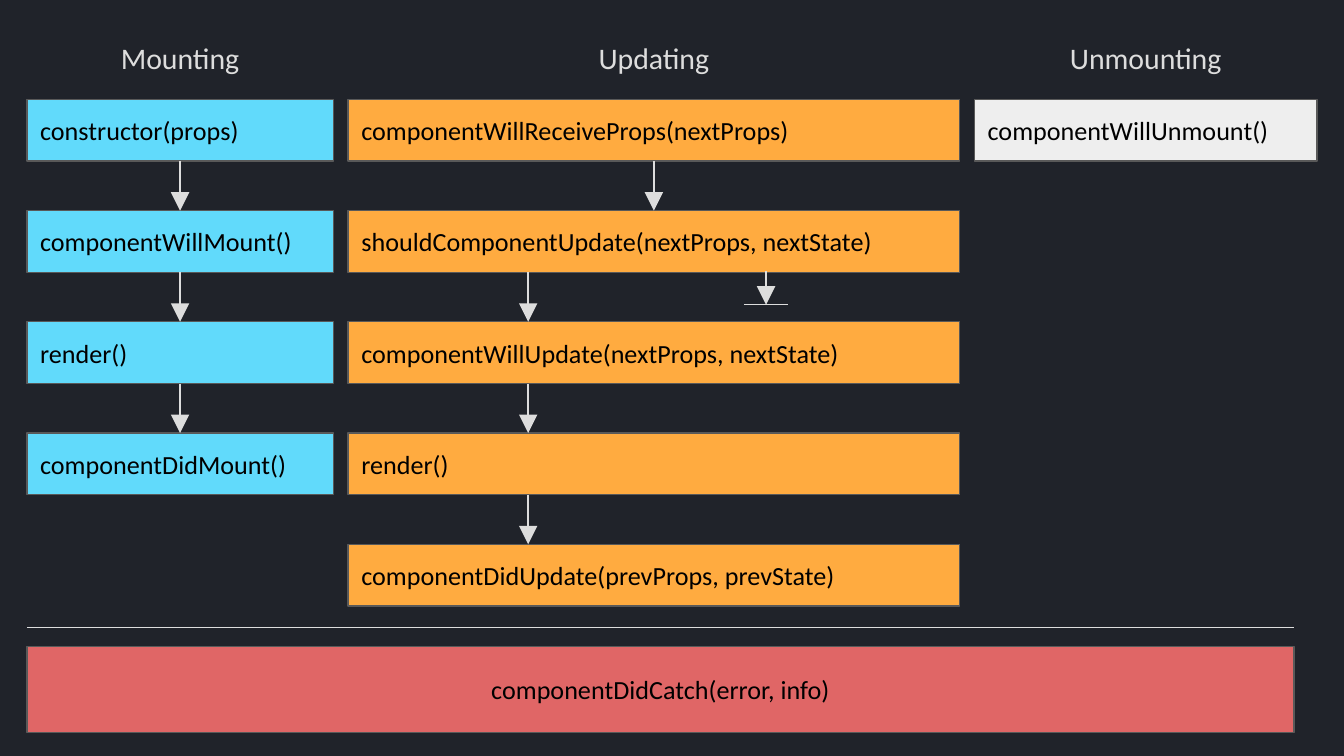
from lxml import etree
from pptx import Presentation, util as u
from pptx.dml.color import RGBColor
from pptx.enum import shapes, text
from pptx.oxml.ns import qn

WIDTH = 10
HEIGHT = WIDTH * 9 / 16
MARGIN, GAP = 0.2, 0.11
HEADING_TOP, HEADING_HEIGHT = 0.11, 0.64
FIRST_ROW, LAST_ROW, BOX_HEIGHT = 0.74, 4.05, 0.46
ROW_PITCH = (LAST_ROW - FIRST_ROW) / 4
FOOTER_WIDTH = 9.43
UPDATING_WIDTH = 4.55
BRANCH = 1.34 / UPDATING_WIDTH
BACKGROUND, PALE, BORDER, BLACK = "20232A", "DDDDDD", "595959", "000000"

# heading, width, fill, methods, arrow positions as shares of the width
PHASES = [
    ("Mounting", 2.28, "61DAFB",
     ["constructor(props)", "componentWillMount()", "render()",
      "componentDidMount()"],
     [0.5, 0.5, 0.5]),
    ("Updating", UPDATING_WIDTH, "FFAB40",
     ["componentWillReceiveProps(nextProps)",
      "shouldComponentUpdate(nextProps, nextState)",
      "componentWillUpdate(nextProps, nextState)", "render()",
      "componentDidUpdate(prevProps, prevState)"],
     [0.5, BRANCH, BRANCH, BRANCH]),
    ("Unmounting", 2.55, "EEEEEE", ["componentWillUnmount()"], []),
]


def color(value):
    """Turn a hex string into a colour."""
    return RGBColor.from_string(value)


def row_top(row):
    """Return the top of a row of method boxes."""
    return FIRST_ROW + row * ROW_PITCH


def write(shape, words, size=14, fill=BLACK, align="LEFT"):
    """Write one vertically centred paragraph into a shape."""
    frame = shape.text_frame
    frame.word_wrap = True
    frame.vertical_anchor = text.MSO_ANCHOR.MIDDLE
    frame.margin_left = frame.margin_right = u.Inches(0.1)
    frame.margin_top = frame.margin_bottom = u.Inches(0.1)
    paragraph = frame.paragraphs[0]
    paragraph.alignment = getattr(text.PP_ALIGN, align)
    run = paragraph.add_run()
    run.text = words
    run.font.name, run.font.size = "Calibri", u.Pt(size)
    run.font.color.rgb = color(fill)


def add_heading(slide, box, words):
    """Add a centred phase heading."""
    shape = slide.shapes.add_textbox(*map(u.Inches, box))
    write(shape, words, size=16, fill=PALE, align="CENTER")


def add_box(slide, box, words, fill, align="LEFT"):
    """Add a filled, bordered method box."""
    shape = slide.shapes.add_shape(
        shapes.MSO_SHAPE.RECTANGLE, *map(u.Inches, box))
    shape.shadow.inherit = False
    shape.fill.solid()
    shape.fill.fore_color.rgb = color(fill)
    shape.line.color.rgb = color(BORDER)
    shape.line.width = u.Pt(0.75)
    write(shape, words, align=align)


def add_line(slide, start, end, arrow=False):
    """Add a thin line, with a large triangle at its end for an arrow."""
    connector = slide.shapes.add_connector(
        shapes.MSO_CONNECTOR.STRAIGHT, *map(u.Inches, (*start, *end)))
    connector.line.color.rgb = color(PALE)
    connector.line.width = u.Pt(0.75)
    properties = connector._element.spPr
    if arrow:
        etree.SubElement(properties.find(qn("a:ln")), qn("a:tailEnd"),
                         type="triangle", w="lg", len="lg")
    etree.SubElement(properties, qn("a:effectLst"))


def add_phase(slide, left, width, heading, fill, methods, arrows):
    """Add a column: heading, method boxes and the arrows between them."""
    add_heading(slide, (left, HEADING_TOP, width, HEADING_HEIGHT), heading)
    for row, method in enumerate(methods):
        add_box(slide, (left, row_top(row), width, BOX_HEIGHT), method, fill)
    for row, share in enumerate(arrows):
        x = left + share * width
        add_line(slide, (x, row_top(row) + BOX_HEIGHT),
                 (x, row_top(row + 1)), arrow=True)


def add_stop(slide, x, top, length=0.25, bar=0.33):
    """Add a short arrow that ends at a crossbar."""
    end = top + length
    add_line(slide, (x, top), (x, end), arrow=True)
    add_line(slide, (x - bar / 2, end), (x + bar / 2, end))


def add_footer(slide, left, top, width):
    """Add the divider and the error box below it."""
    add_line(slide, (left, top), (left + width, top))
    add_box(slide, (left, top + 0.14, width, 0.64),
            "componentDidCatch(error, info)", "E06666", align="CENTER")


def build():
    """Build the lifecycle slide and save it."""
    presentation = Presentation()
    presentation.slide_width = u.Inches(WIDTH)
    presentation.slide_height = u.Inches(HEIGHT)
    slide = presentation.slides.add_slide(presentation.slide_layouts[6])
    slide.background.fill.solid()
    slide.background.fill.fore_color.rgb = color(BACKGROUND)

    left = MARGIN
    for heading, width, fill, methods, arrows in PHASES:
        add_phase(slide, left, width, heading, fill, methods, arrows)
        left += width + GAP
    add_stop(slide, 0.57 * WIDTH, row_top(1) + BOX_HEIGHT - 0.01)
    add_footer(slide, MARGIN, 4.67, FOOTER_WIDTH)
    presentation.save("out.pptx")


build()
